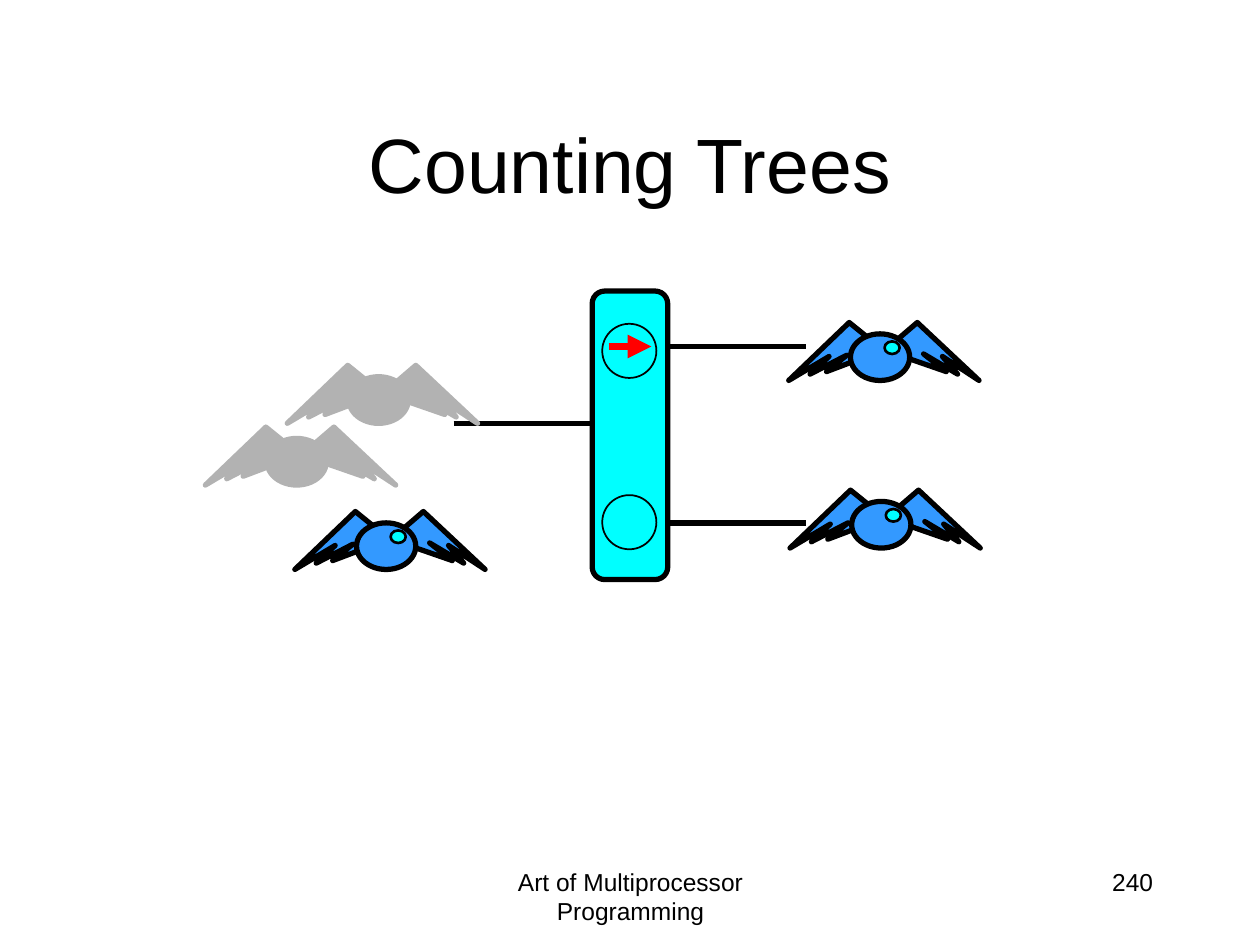
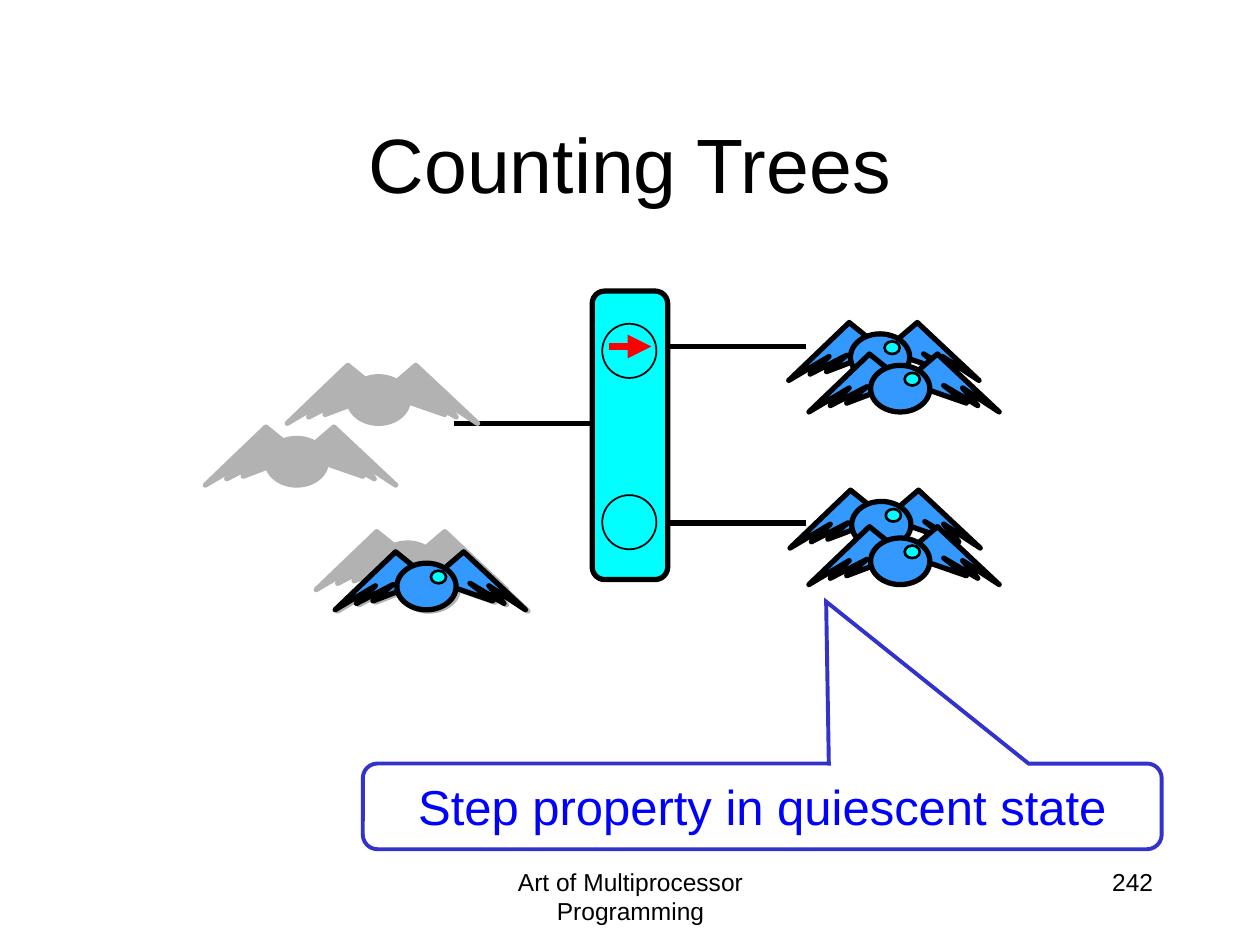
from lxml.etree import SubElement
from pptx import Presentation
from pptx.dml.color import RGBColor
from pptx.enum.shapes import MSO_CONNECTOR, MSO_SHAPE
from pptx.enum.text import MSO_ANCHOR, PP_ALIGN
from pptx.oxml.ns import qn
from pptx.util import Inches, Pt

BLACK = RGBColor(0x00, 0x00, 0x00)
CYAN = RGBColor(0x00, 0xFF, 0xFF)
BLUE = RGBColor(0x33, 0x99, 0xFF)
GRAY = RGBColor(0xB2, 0xB2, 0xB2)
RED = RGBColor(0xFF, 0x00, 0x00)
CALLOUT_LINE = RGBColor(0x33, 0x33, 0xCC)
CALLOUT_TEXT = RGBColor(0x00, 0x00, 0xFF)

FONT = "Arial"
SLIDE_WIDTH, SLIDE_HEIGHT = Inches(10), Inches(7.5)
COLUMNS, ROWS = 10, 7.5
TITLE_ONLY = 5

# Parts of a bird, in grid units from its top left corner
LEFT_WING = [(0.69, 0.17), (0.48, 0), (0, 0.46), (0.32, 0.27),
             (0.17, 0.41), (0.46, 0.26), (0.3, 0.39), (0.75, 0.22)]
RIGHT_WING = [(0.81, 0.18), (1.02, 0), (1.51, 0.46), (1.22, 0.27),
              (1.34, 0.41), (1.07, 0.25), (1.25, 0.39), (0.76, 0.22)]
BODY = (0.49, 0.09, 0.47, 0.37)
EYE = (0.76, 0.15, 0.12, 0.1)

WIRE_LENGTH = 1.7
INPUT_WIRE = (3.6, 3.36)
OUTPUT_WIRES = [(4.7, 2.75), (4.7, 4.15)]
BALANCER = (4.7, 2.31, 0.6, 2.29)
TOGGLES = [(4.78, 2.57, 0.43, 0.43), (4.78, 3.93, 0.43, 0.43)]
FIRST_OUTPUTS = [(6.26, 2.56), (6.27, 3.89)]
LATER_OUTPUTS = [(6.42, 2.81), (6.42, 4.18)]
DEPARTED = [(2.28, 2.9), (1.63, 3.39)]


def column(count):
    return round(SLIDE_WIDTH * count / COLUMNS)


def row(count):
    return round(SLIDE_HEIGHT * count / ROWS)


def frame(left, top, width, height):
    return column(left), row(top), column(width), row(height)


def add_line_detail(shape, tag, **attributes):
    """Append a join or an arrowhead to the shape's outline."""
    SubElement(shape.element.spPr.find(qn("a:ln")), qn(tag), **attributes)


class Deck:
    """Holds the shared style and the slide being drawn."""

    def __init__(self):
        self.presentation = Presentation()
        self.presentation.slide_width = SLIDE_WIDTH
        self.presentation.slide_height = SLIDE_HEIGHT
        self.slide = None

    def start_slide(self, title, footer, number):
        layout = self.presentation.slide_layouts[TITLE_ONLY]
        self.slide = self.presentation.slides.add_slide(layout)
        heading = self.slide.shapes.title
        heading.left, heading.top, heading.width, heading.height = frame(
            0.75, 0.67, 8.5, 1.25)
        heading.text_frame.vertical_anchor = MSO_ANCHOR.MIDDLE
        self.add_text(heading, title, 44)
        self.label((3.42, 6.83, 3.17, 0.5), footer, PP_ALIGN.CENTER)
        self.label((7.17, 6.83, 2.08, 0.5), number, PP_ALIGN.RIGHT)

    def add_text(self, holder, text, size, color=BLACK, align=PP_ALIGN.CENTER):
        paragraph = holder.text_frame.paragraphs[0]
        paragraph.alignment = align
        run = paragraph.add_run()
        run.text = text
        run.font.name = FONT
        run.font.size = Pt(size)
        run.font.color.rgb = color

    def label(self, place, text, align):
        box = self.slide.shapes.add_textbox(*frame(*place))
        box.text_frame.word_wrap = True
        self.add_text(box, text, 14, align=align)

    def style(self, shape, fill, line, weight, join="a:round"):
        shape.shadow.inherit = False
        if fill is None:
            shape.fill.background()
        else:
            shape.fill.solid()
            shape.fill.fore_color.rgb = fill
        shape.line.color.rgb = line
        shape.line.width = Pt(weight)
        add_line_detail(shape, join)

    def preset(self, kind, place, fill=None, line=BLACK, weight=3,
               group=None, join="a:round"):
        shapes = (group or self.slide).shapes
        shape = shapes.add_shape(kind, *frame(*place))
        self.style(shape, fill, line, weight, join)
        return shape

    def wire(self, start, length=WIRE_LENGTH, color=BLACK, weight=3, arrow=False):
        left, top = start
        connector = self.slide.shapes.add_connector(
            MSO_CONNECTOR.STRAIGHT, column(left), row(top),
            column(left + length), row(top))
        connector.line.color.rgb = color
        connector.line.width = Pt(weight)
        if arrow:
            add_line_detail(connector, "a:tailEnd", type="triangle")
        SubElement(connector.element.spPr, qn("a:effectLst"))

    def bird(self, corner, ghost=False):
        """Draw a token with wings; a ghost marks a place it has left."""
        left, top = corner
        fill, line, eye_fill = (GRAY,) * 3 if ghost else (BLUE, BLACK, CYAN)
        group = self.slide.shapes.add_group_shape()
        for wing in (RIGHT_WING, LEFT_WING):
            points = [(column(left + x), row(top + y)) for x, y in wing]
            outline = group.shapes.build_freeform(*points[0])
            outline.add_line_segments(points[1:], close=True)
            self.style(outline.convert_to_shape(), fill, line, 3)
        for (x, y, width, height), color, weight in (
                (BODY, fill, 3), (EYE, eye_fill, 1.5)):
            self.preset(MSO_SHAPE.OVAL, (left + x, top + y, width, height),
                        color, line, weight, group)

    def balancer(self):
        self.preset(MSO_SHAPE.ROUNDED_RECTANGLE, BALANCER, CYAN)
        self.wire((4.83, 2.75), 0.34, RED, 4.5, arrow=True)
        for toggle in TOGGLES:
            self.preset(MSO_SHAPE.OVAL, toggle, weight=1)

    def callout(self, place, text, adjustments):
        shape = self.preset(MSO_SHAPE.ROUNDED_RECTANGULAR_CALLOUT, place,
                            line=CALLOUT_LINE, weight=2.25, join="a:miter")
        for index, value in enumerate(adjustments):
            shape.adjustments[index] = value
        shape.text_frame.word_wrap = False
        shape.text_frame.vertical_anchor = MSO_ANCHOR.MIDDLE
        self.add_text(shape, text, 28, CALLOUT_TEXT)

    def counting_tree(self, number, tokens, ghosts):
        self.start_slide("Counting Trees", "Art of Multiprocessor Programming",
                         number)
        for start in [INPUT_WIRE, *OUTPUT_WIRES]:
            self.wire(start)
        self.balancer()
        for corner in ghosts:
            self.bird(corner, ghost=True)
        for corner in tokens:
            self.bird(corner)


def main():
    deck = Deck()
    deck.counting_tree("240", [*FIRST_OUTPUTS, (2.34, 4.06)], DEPARTED)
    deck.counting_tree("242", [*FIRST_OUTPUTS, *LATER_OUTPUTS, (2.66, 4.38)],
                       [(2.51, 4.22), (2.68, 4.39), *DEPARTED])
    deck.callout((2.88, 6.06, 6.34, 0.68), "Step property in quiescent state",
                 (0.08, -2.39, 0.17))
    deck.presentation.save("out.pptx")


if __name__ == "__main__":
    main()
